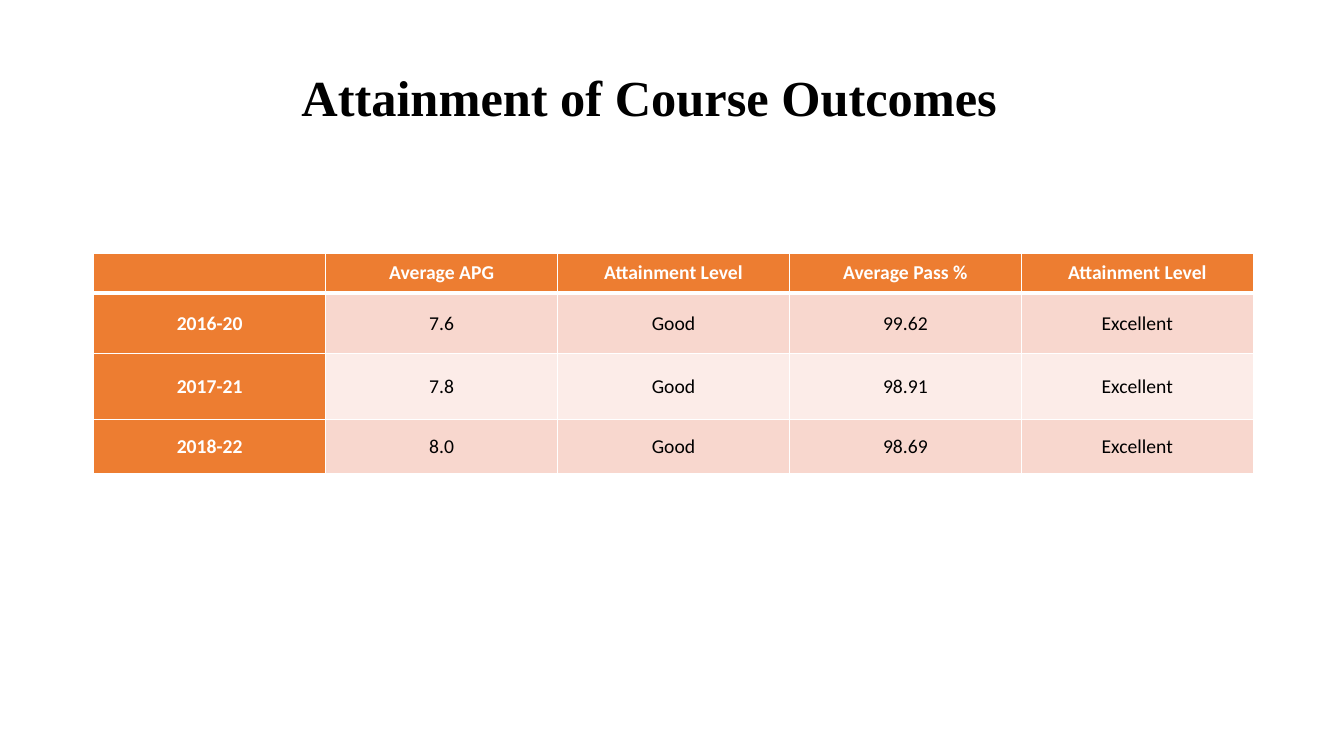
from lxml import etree
from pptx import Presentation, util as u
from pptx.dml.color import RGBColor
from pptx.enum import text
from pptx.oxml.ns import qn

COLOURS = {
    "ink": "000000",
    "white": "FFFFFF",
    "accent": "ED7D31",
    "band_dark": "F8D7CE",
    "band_light": "FCECE8",
}
OUTCOMES = [
    ["", "Average APG", "Attainment Level", "Average Pass %", "Attainment Level"],
    ["2016-20", "7.6", "Good", "99.62", "Excellent"],
    ["2017-21", "7.8", "Good", "98.91", "Excellent"],
    ["2018-22", "8.0", "Good", "98.69", "Excellent"],
]
ROW_HEIGHTS = [0.4, 0.6, 0.65, 0.54]


def colour(name):
    """Return the named colour."""
    return RGBColor.from_string(COLOURS[name])


def add_span(para, words, font, size, ink, bold):
    """Add one centred, styled run to a paragraph."""
    para.alignment = text.PP_ALIGN.CENTER
    span = para.add_run()
    span.text = words
    span.font.name = font
    span.font.size = u.Pt(size)
    span.font.bold = bold
    span.font.color.rgb = colour(ink)


def add_borders(cell, widths):
    """Draw white cell borders with widths in points, keyed by side."""
    properties = cell._tc.get_or_add_tcPr()
    for side, width in widths.items():
        line = etree.SubElement(properties, qn(f"a:ln{side}"), w=str(u.Pt(width)))
        fill = etree.SubElement(line, qn("a:solidFill"))
        etree.SubElement(fill, qn("a:srgbClr"), val=COLOURS["white"])


def add_title(page, left, top, width, height):
    """Place the slide title in the given box."""
    box = page.shapes.add_textbox(*map(u.Inches, (left, top, width, height)))
    frame = box.text_frame
    frame.word_wrap = True
    frame.vertical_anchor = text.MSO_ANCHOR.MIDDLE
    para = frame.paragraphs[0]
    para.line_spacing = 0.9
    add_span(para, "Attainment of Course Outcomes", "Times New Roman", 36, "ink", True)


def style_cell(cell, words, row, column):
    """Fill, border and letter one cell according to its place."""
    heading = row == 0 or column == 0
    band = "band_dark" if row % 2 else "band_light"
    add_borders(cell, {"L": 1, "R": 1, "T": 3 if row == 1 else 1, "B": 3 if row == 0 else 1})
    cell.fill.solid()
    cell.fill.fore_color.rgb = colour("accent" if heading else band)
    cell.vertical_anchor = text.MSO_ANCHOR.MIDDLE
    cell.margin_left = cell.margin_right = u.Inches(0.07)
    cell.margin_top = cell.margin_bottom = 0
    if words:
        para = cell.text_frame.paragraphs[0]
        add_span(para, words, "Calibri", 14, "white" if heading else "ink", heading)


def add_outcomes(page, left, top, width):
    """Place the table of outcomes with equal columns."""
    count = len(OUTCOMES[0])
    frame = page.shapes.add_table(
        len(OUTCOMES), count, *map(u.Inches, (left, top, width, sum(ROW_HEIGHTS)))
    )
    table = frame.table
    table.first_col = True
    for column in table.columns:
        column.width = u.Inches(width / count)
    for row, (height, values) in enumerate(zip(ROW_HEIGHTS, OUTCOMES)):
        table.rows[row].height = u.Inches(height)
        for column, words in enumerate(values):
            style_cell(table.cell(row, column), words, row, column)


def main():
    """Build and save the deck."""
    deck = Presentation()
    deck.slide_width, deck.slide_height = u.Inches(13.33), u.Inches(7.5)
    page = deck.slides.add_slide(deck.slide_layouts[6])
    add_title(page, 0.93, 0.66, 11.02, 0.67)
    add_outcomes(page, 0.93, 2.51, 11.5)
    deck.save("out.pptx")


if __name__ == "__main__":
    main()
